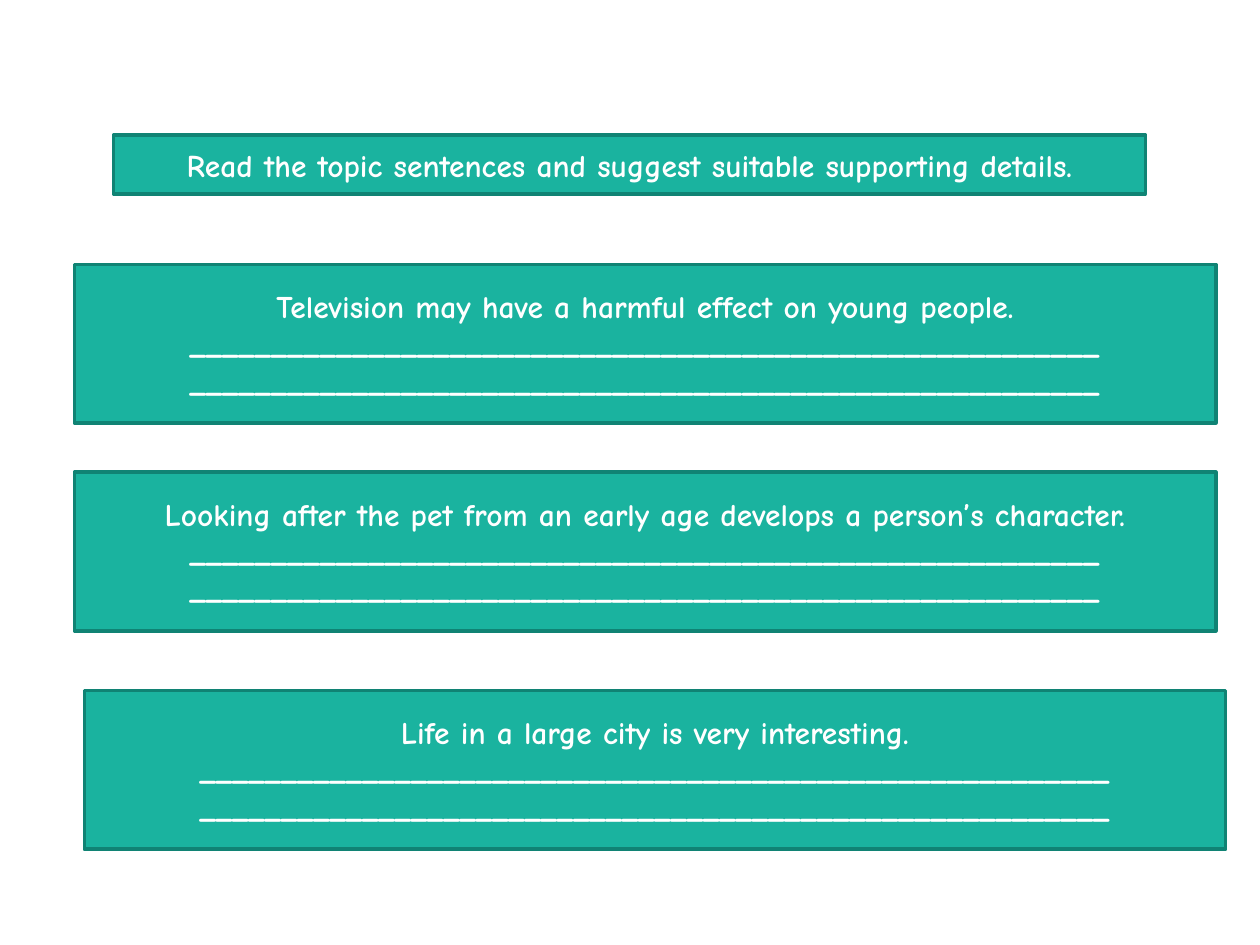
from pptx import Presentation
from pptx.dml.color import RGBColor
from pptx.enum.shapes import MSO_SHAPE as Preset
from pptx.enum.text import MSO_ANCHOR as Anchor, MSO_AUTO_SIZE as AutoSize, PP_ALIGN as Align
from pptx.util import Cm, Pt

TEAL = RGBColor(0x1A, 0xB3, 0x9F)
DARK_TEAL = RGBColor(0x10, 0x83, 0x74)
WHITE = RGBColor(0xFF, 0xFF, 0xFF)
ANSWER_RULE = "_" * 56
TOPICS = [
    (1.5, 5.33, "Television may have a harmful effect on young people."),
    (1.5, 9.52, "Looking after the pet from an early age develops a person’s character."),
    (1.7, 13.92, "Life in a large city is very interesting."),
]


class Worksheet:
    """Teal exercise panels in one style on the current slide."""

    font_name = "Comic Neue"
    font_size = Pt(18)
    border = Pt(2)

    def __init__(self, slide):
        self.slide = slide

    def style(self, panel, lines):
        panel.shadow.inherit = False
        panel.fill.solid()
        panel.fill.fore_color.rgb = TEAL
        panel.line.color.rgb = DARK_TEAL
        panel.line.width = self.border
        frame = panel.text_frame
        frame.text = "\n".join(lines)
        frame.word_wrap = True
        frame.auto_size = AutoSize.NONE
        frame.vertical_anchor = Anchor.MIDDLE
        for paragraph in frame.paragraphs:
            paragraph.alignment = Align.CENTER
            for run in paragraph.runs:
                run.font.name = self.font_name
                run.font.size = self.font_size
                run.font.bold = True
                run.font.color.rgb = WHITE

    def instruction(self, left, top, width, height, wording):
        heading = self.slide.shapes.title
        heading.left, heading.top = Cm(left), Cm(top)
        heading.width, heading.height = Cm(width), Cm(height)
        self.style(heading, [wording])

    def topic(self, left, top, sentence):
        panel = self.slide.shapes.add_shape(
            Preset.RECTANGLE, Cm(left), Cm(top), Cm(23.01), Cm(3.2))
        self.style(panel, [sentence, ANSWER_RULE, ANSWER_RULE])


def main():
    deck = Presentation()
    deck.slide_width, deck.slide_height = Cm(25.4), Cm(19.05)
    worksheet = Worksheet(deck.slides.add_slide(deck.slide_layouts[5]))
    worksheet.instruction(
        2.29, 2.72, 20.8, 1.19,
        "Read the topic sentences and suggest suitable supporting details.")
    for left, top, sentence in TOPICS:
        worksheet.topic(left, top, sentence)
    deck.save("out.pptx")


if __name__ == "__main__":
    main()
